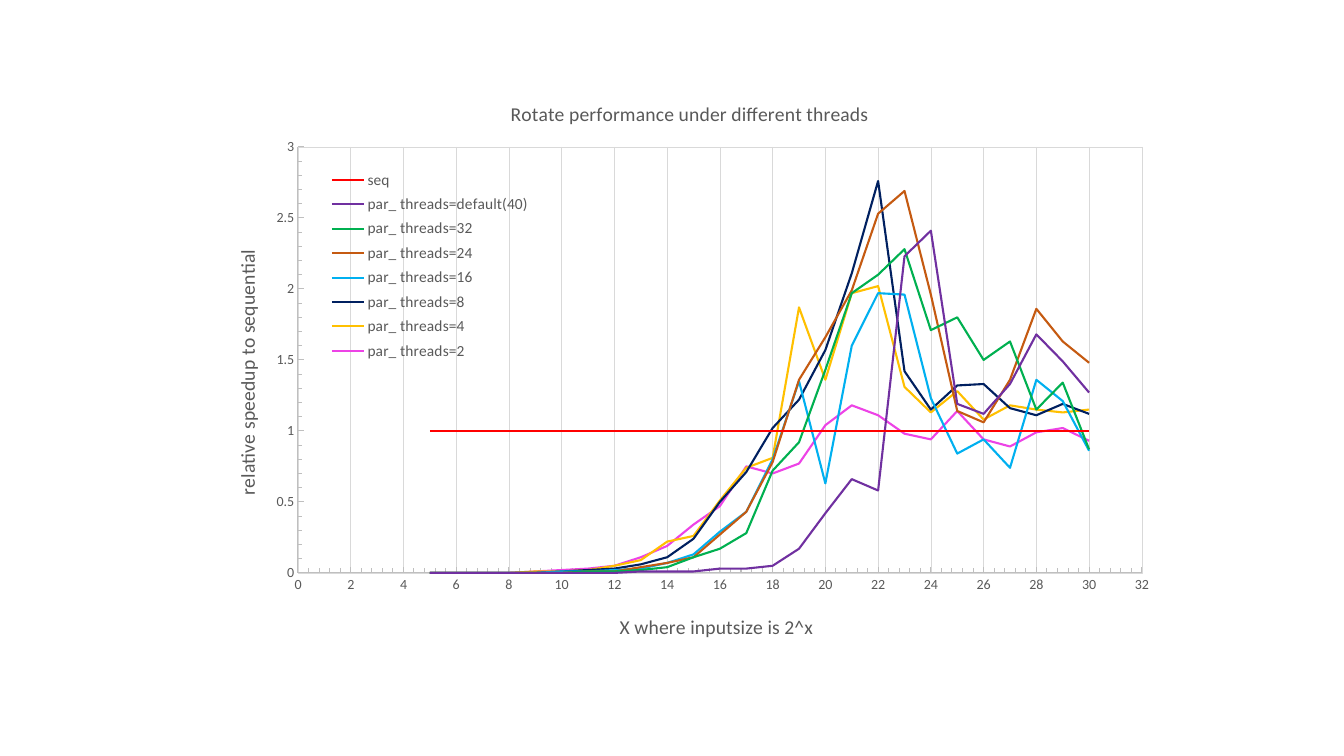
from pptx import Presentation
from pptx.chart.data import XyChartData
from pptx.dml.color import RGBColor
from pptx.enum.chart import XL_CHART_TYPE, XL_LEGEND_POSITION, XL_MARKER_STYLE, XL_TICK_MARK
from pptx.oxml import parse_xml
from pptx.oxml.ns import nsdecls, qn
from pptx.util import Emu, Pt

PX = 9144000 // 1008 * 10 // 10  # EMU in one px, at 100.8 px to the inch
PX = round(914400 / 100.8)
FONT = "Calibri"
COLORS = {
    "text": "595959", "axis": "BFBFBF", "grid": "D9D9D9",
    "red": "FF0000", "purple": "7030A0", "green": "00B050", "brown": "C55A11",
    "sky": "00B0F0", "navy": "002060", "gold": "FFC000", "pink": "ED43E6",
}
CHART_BOX = (204, 75, 965, 583)
EXPONENTS = range(5, 31)

# Speedup over the sequential run, for each exponent
SERIES = [
    ("seq", "red", [1] * len(EXPONENTS)),
    ("par_ threads=default(40)", "purple",
     [0, 0, 0, 0, 0, 0, 0, 0, 0.01, 0.01, 0.01, 0.03, 0.03, 0.05, 0.17, 0.42, 0.66, 0.58,
      2.23, 2.41, 1.19, 1.12, 1.33, 1.68, 1.49, 1.27]),
    ("par_ threads=32", "green",
     [0, 0, 0, 0, 0, 0, 0.01, 0.01, 0.02, 0.04, 0.11, 0.17, 0.28, 0.72, 0.92, 1.43, 1.97, 2.1,
      2.28, 1.71, 1.8, 1.5, 1.63, 1.15, 1.34, 0.87]),
    ("par_ threads=24", "brown",
     [0, 0, 0, 0, 0, 0, 0.01, 0.01, 0.04, 0.07, 0.11, 0.27, 0.43, 0.78, 1.36, 1.66, 1.99, 2.53,
      2.69, 1.96, 1.14, 1.06, 1.36, 1.86, 1.63, 1.48]),
    ("par_ threads=16", "sky",
     [0, 0, 0, 0, 0, 0.01, 0.01, 0.02, 0.03, 0.07, 0.13, 0.29, 0.43, 0.8, 1.35, 0.63, 1.6, 1.97,
      1.96, 1.23, 0.84, 0.94, 0.74, 1.36, 1.21, 0.86]),
    ("par_ threads=8", "navy",
     [0, 0, 0, 0, 0, 0.01, 0.02, 0.03, 0.06, 0.11, 0.24, 0.5, 0.71, 1.02, 1.22, 1.57, 2.11, 2.76,
      1.42, 1.15, 1.32, 1.33, 1.16, 1.11, 1.19, 1.12]),
    ("par_ threads=4", "gold",
     [0, 0, 0, 0, 0.01, 0.01, 0.02, 0.05, 0.09, 0.22, 0.26, 0.51, 0.74, 0.81, 1.87, 1.36, 1.97,
      2.02, 1.31, 1.13, 1.28, 1.08, 1.18, 1.15, 1.13, 1.15]),
    ("par_ threads=2", "pink",
     [0, 0, 0, 0, 0.01, 0.02, 0.03, 0.05, 0.11, 0.19, 0.34, 0.47, 0.75, 0.7, 0.77, 1.04, 1.18,
      1.11, 0.98, 0.94, 1.14, 0.94, 0.89, 0.99, 1.02, 0.93]),
]


def rgb(name):
    return RGBColor.from_string(COLORS[name])


def set_font(font, size, color="text"):
    font.name, font.size, font.bold = FONT, Pt(size), False
    font.color.rgb = rgb(color)


def put_text(tf, text, size=14, color="text"):
    p = tf.paragraphs[0]
    r = p.add_run()
    r.text = text
    set_font(r.font, size, color)


def set_line(line, color, width):
    line.color.rgb = rgb(color)
    line.width = Pt(width)


def place(el, left, top, width=None, height=None, inner=False):
    """Fix a chart part at a slide position given in px."""
    x0, y0, w0, h0 = CHART_BOX
    values = {"x": (left - x0) / w0, "y": (top - y0) / h0}
    if width:
        values.update(w=width / w0, h=height / h0)
    target = '<c:layoutTarget val="inner"/>' if inner else ""
    modes = '<c:xMode val="edge"/><c:yMode val="edge"/>'
    sizes = "".join(f'<c:{k} val="{v:.4f}"/>' for k, v in values.items())
    for old in el.findall(qn("c:layout")):
        el.remove(old)
    el.insert(0 if inner else 1, parse_xml(
        f'<c:layout {nsdecls("c")}><c:manualLayout>{target}{modes}{sizes}'
        '</c:manualLayout></c:layout>'))


class SpeedupSlide:
    def __init__(self, prs):
        self.s = prs.slides.add_slide(prs.slide_layouts[6])

    def chart(self):
        data = XyChartData(number_format="General")
        for name, _, speedups in SERIES:
            series = data.add_series(name)
            for x, y in zip(EXPONENTS, speedups):
                series.add_data_point(x, y)
        box = [Emu(v * PX) for v in CHART_BOX]
        frame = self.s.shapes.add_chart(XL_CHART_TYPE.XY_SCATTER_LINES_NO_MARKERS, *box, data)
        self.ch = frame.chart
        set_font(self.ch.font, 10)
        self.ch.plots[0].vary_by_categories = False
        for series, (_, color, _) in zip(self.ch.plots[0].series, SERIES):
            series.smooth = False
            series.marker.style = XL_MARKER_STYLE.NONE
            set_line(series.format.line, color, 1.5)

    def plot_area(self, *box):
        area = self.ch.plots[0]._element.getparent()
        place(area, *box, inner=True)
        area.append(parse_xml(
            f'<c:spPr {nsdecls("c", "a")}><a:noFill/><a:ln w="6350"><a:solidFill>'
            f'<a:srgbClr val="{COLORS["grid"]}"/></a:solidFill></a:ln></c:spPr>'))

    def title(self, text, left, top):
        self.ch.has_title = True
        title = self.ch.chart_title
        put_text(title.text_frame, text)
        place(title._element, left, top)

    def axis(self, ax, text, left, top, maximum, major, minor, grid):
        ax.minimum_scale, ax.maximum_scale = 0, maximum
        ax.major_unit, ax.minor_unit = major, minor
        ax.major_tick_mark = ax.minor_tick_mark = XL_TICK_MARK.INSIDE
        ax.has_major_gridlines = grid
        if grid:
            set_line(ax.major_gridlines.format.line, "grid", 0.5)
        set_line(ax.format.line, "axis", 0.75)
        set_font(ax.tick_labels.font, 10)
        put_text(ax.axis_title.text_frame, text)
        place(ax.axis_title._element, left, top)

    def legend(self, *box):
        self.ch.has_legend = True
        legend = self.ch.legend
        legend.position = XL_LEGEND_POSITION.LEFT
        legend.include_in_layout = True
        set_font(legend.font, 11)
        place(legend._element, *box)


def main():
    prs = Presentation()
    prs.slide_width, prs.slide_height = Emu(1344 * PX), Emu(756 * PX)
    slide = SpeedupSlide(prs)

    # Chart and its heading
    slide.chart()
    slide.plot_area(298, 147, 844, 426)
    slide.title("Rotate performance under different threads", 507, 97)

    # Axes
    slide.axis(slide.ch.category_axis, "X where inputsize is 2^x", 616, 610,
               maximum=32, major=2, minor=0.4, grid=True)
    slide.axis(slide.ch.value_axis, "relative speedup to sequential", 230, 246,
               maximum=3, major=0.5, minor=0.1, grid=False)

    # Legend inside the plot
    slide.legend(325, 165, 210, 201)
    prs.save("out.pptx")


if __name__ == "__main__":
    main()
